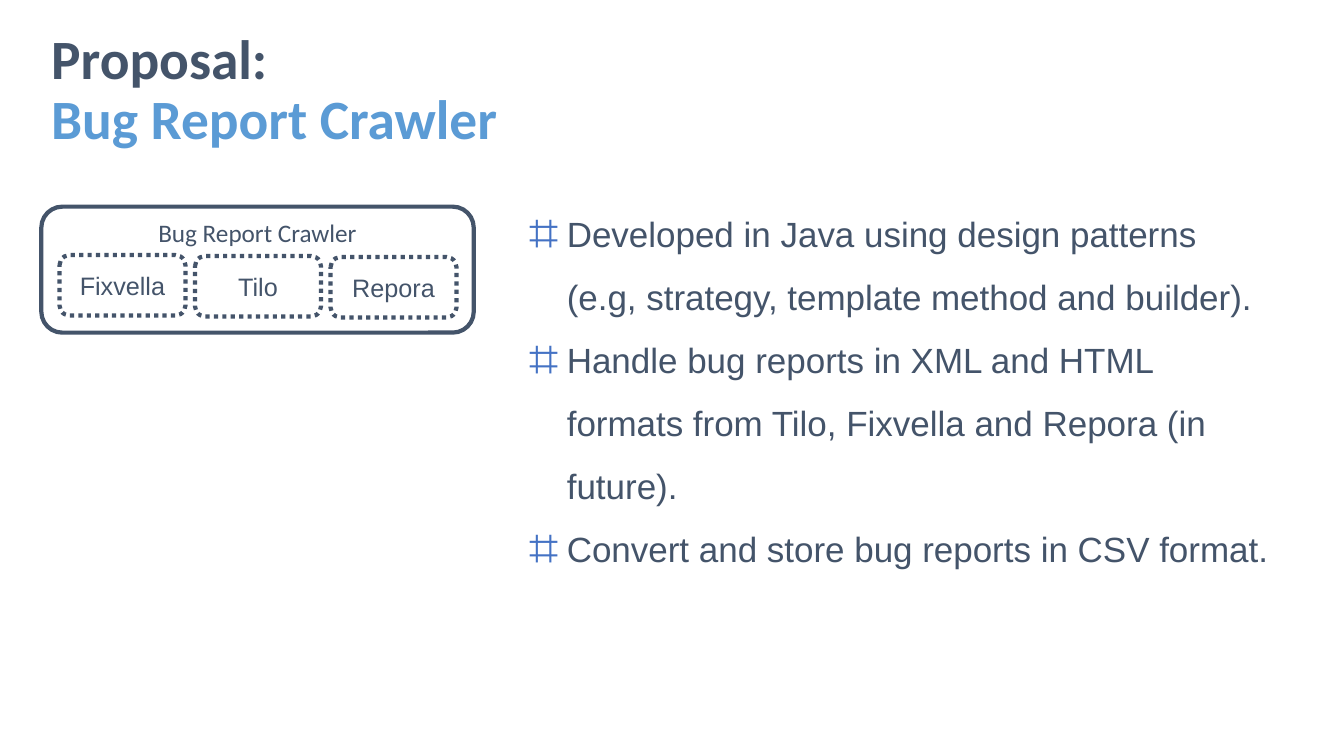
from dataclasses import dataclass

from lxml.etree import SubElement
from pptx import Presentation
from pptx.dml.color import RGBColor
from pptx.enum.dml import MSO_LINE
from pptx.enum.shapes import MSO_SHAPE
from pptx.enum.text import MSO_ANCHOR, PP_ALIGN
from pptx.oxml.ns import qn
from pptx.util import Pt

TITLE = ("Proposal:", "Bug Report Crawler")
CRAWLER = "Bug Report Crawler"
TRACKERS = ["Fixvella", "Tilo", "Repora"]
POINTS = [
    "Developed in Java using design patterns (e.g, strategy, template method and builder).",
    "Handle bug reports in XML and HTML formats from Tilo, Fixvella and Repora (in future).",
    "Convert and store bug reports in CSV format.",
]


@dataclass(frozen=True)
class Theme:
    dark: str = "44546A"
    light: str = "5B9BD5"
    mark: str = "4472C4"
    paper: str = "FFFFFF"
    head: str = "Calibri"
    body: str = "Arial"
    title: float = 39.6
    label: float = 18
    point: float = 25
    line: float = 3


THEME = Theme()


def color(code):
    return RGBColor.from_string(code)


def style(run, size, face, code=THEME.dark, bold=False):
    font = run.font
    font.size, font.name, font.bold = Pt(size), face, bold
    font.color.rgb = color(code)


def add_text(slide, *box):
    frame = slide.shapes.add_textbox(*map(Pt, box)).text_frame
    frame.word_wrap = True
    return frame


def add_box(slide, box, text, face, anchor, dash=None):
    shape = slide.shapes.add_shape(MSO_SHAPE.ROUNDED_RECTANGLE, *map(Pt, box))
    shape.shadow.inherit = False
    shape.fill.solid()
    shape.fill.fore_color.rgb = color(THEME.paper)
    shape.line.color.rgb = color(THEME.dark)
    shape.line.width = Pt(THEME.line)
    if dash:
        shape.line.dash_style = dash
    frame = shape.text_frame
    frame.vertical_anchor = anchor
    para = frame.paragraphs[0]
    para.text = text
    para.alignment = PP_ALIGN.CENTER
    style(para.runs[0], THEME.label, face)


def add_bullet(para, char, indent):
    props = para._p.get_or_add_pPr()
    props.set("marL", str(Pt(indent)))
    props.set("indent", str(-Pt(indent)))
    tint = SubElement(props, qn("a:buClr"))
    SubElement(tint, qn("a:srgbClr"), val=THEME.mark)
    SubElement(props, qn("a:buSzPct"), val="150000")
    SubElement(props, qn("a:buFont"), typeface=THEME.body)
    SubElement(props, qn("a:buChar"), char=char)


def add_title(slide):
    frame = add_text(slide, 29.5, 28.8, 828, 73.4)
    frame.vertical_anchor = MSO_ANCHOR.MIDDLE
    para = frame.paragraphs[0]
    para.text = "\v".join(TITLE)
    para.line_spacing = 0.9
    for run, code in zip(para.runs, (THEME.dark, THEME.light)):
        style(run, THEME.title, THEME.head, code, True)


def add_crawler(slide):
    add_box(slide, (29.5, 147.6, 308.9, 90), CRAWLER, THEME.head, MSO_ANCHOR.TOP)
    left, top, step, drop = 42.5, 182.2, 96.8, 0.7
    for i, name in enumerate(TRACKERS):
        box = (left + i * step, top + i * drop, 90, 43.2)
        add_box(slide, box, name, THEME.body, MSO_ANCHOR.MIDDLE, MSO_LINE.ROUND_DOT)


def add_points(slide):
    frame = add_text(slide, 370.8, 133.2, 542.9, 319.7)
    frame.text = "\n".join(POINTS)
    for para in frame.paragraphs:
        add_bullet(para, "⌗", 27)
        para.line_spacing = 1.5
        style(para.runs[0], THEME.point, THEME.body)


def main():
    deck = Presentation()
    deck.slide_width, deck.slide_height = Pt(960), Pt(540)
    slide = deck.slides.add_slide(deck.slide_layouts[6])
    add_title(slide)
    add_crawler(slide)
    add_points(slide)
    deck.save("out.pptx")


if __name__ == "__main__":
    main()
